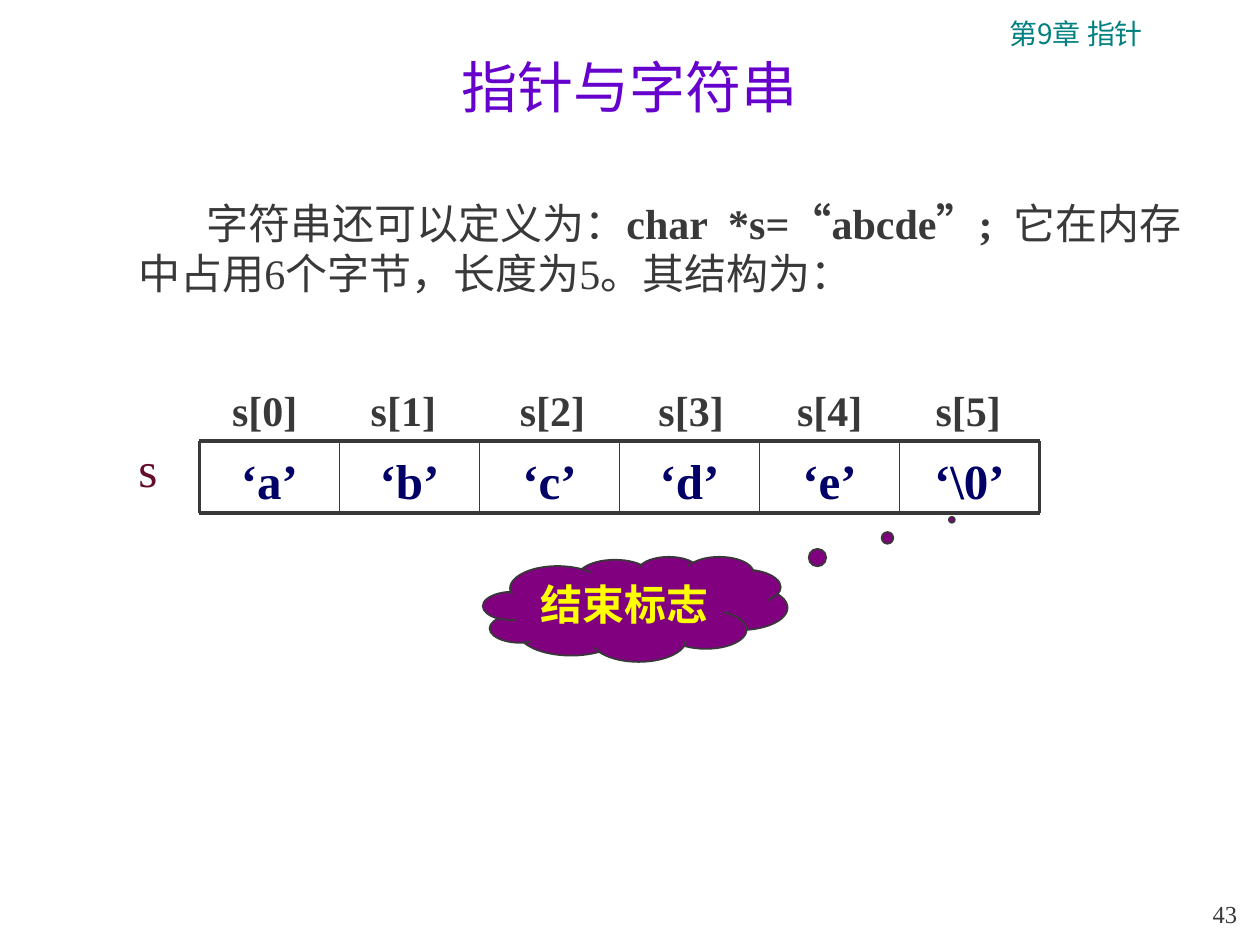
"""Build the slide on pointers and strings with its character array."""
from lxml.etree import SubElement
from pptx import Presentation
from pptx.dml.color import RGBColor
from pptx.enum.lang import MSO_LANGUAGE_ID
from pptx.enum.shapes import MSO_CONNECTOR, MSO_SHAPE
from pptx.enum.text import MSO_ANCHOR, PP_ALIGN
from pptx.oxml.ns import qn
from pptx.util import Inches, Pt

TEAL = RGBColor(0x00, 0x80, 0x80)
VIOLET = RGBColor(0x66, 0x00, 0xCC)
GRAY = RGBColor(0x39, 0x39, 0x39)
NAVY = RGBColor(0x00, 0x00, 0x66)
WINE = RGBColor(0x63, 0x0F, 0x2B)
PURPLE = RGBColor(0x80, 0x00, 0x80)
YELLOW = RGBColor(0xFF, 0xFF, 0x00)
SERIF = "Times New Roman"
SANS = "Noto Sans CJK JP"

presentation = Presentation()
presentation.slide_width, presentation.slide_height = Inches(10), Inches(7.5)
slide = presentation.slides.add_slide(presentation.slide_layouts[6])
UNIT = presentation.slide_width // 120


def grid(*units):
    return [round(unit * UNIT) for unit in units]


def add_run(paragraph, text, size, color, bold=False, name=SERIF):
    run = paragraph.add_run()
    run.text = text
    formats = {"size": Pt(size), "bold": bold, "name": name,
               "language_id": MSO_LANGUAGE_ID.SIMPLIFIED_CHINESE}
    for attribute, value in formats.items():
        setattr(run.font, attribute, value)
    run.font.color.rgb = color


cells = ["‘a’", "‘b’", "‘c’", "‘d’", "‘e’", "‘\\0’"]
array_left, array_top, array_width, array_height = 19, 42, 80, 6.84
array_right, array_bottom = array_left + array_width, array_top + array_height
cell_width = array_width / len(cells)
edges = [array_left + index * cell_width for index in range(len(cells) + 1)]
index_left = 17
index_text = "".join(f"\ts[{index}]" for index in range(len(cells)))

text_boxes = {
    "header": ((86, 1, 33, 4.4), PP_ALIGN.CENTER, MSO_ANCHOR.TOP,
               [("第9章 指针", 16, TEAL, False, SANS)]),
    "page": ((112, 85, 7, 4), PP_ALIGN.RIGHT, MSO_ANCHOR.BOTTOM, [("43", 14, GRAY)]),
    "title": ((9, 2, 102, 10), PP_ALIGN.CENTER, MSO_ANCHOR.BOTTOM,
              [("指针与字符串", 32, VIOLET)]),
    "body": ((6, 18.2, 109, 10.8), PP_ALIGN.LEFT, MSO_ANCHOR.TOP,
             [("字符串还可以定义为：", 24, GRAY),
              ("char  *s=“abcde”;  ", 24, GRAY, True),
              ("它在内存中占用6个字节，长度为5。其结构为：", 24, GRAY)]),
    "pointer": ((12, 41.2, 5, 6.8), PP_ALIGN.LEFT, MSO_ANCHOR.TOP, [("s", 28, WINE)]),
    "indexes": ((index_left, 36, 83, 6), PP_ALIGN.LEFT, MSO_ANCHOR.TOP,
                [(index_text, 24, GRAY, True)]),
}
for edge, text in zip(edges, cells):
    text_boxes[text] = ((edge, array_top + 0.3, cell_width, array_height),
                        PP_ALIGN.CENTER, MSO_ANCHOR.MIDDLE, [(text, 28, NAVY, True)])

paragraphs = {}
for role, (box, alignment, anchor, runs) in text_boxes.items():
    frame = slide.shapes.add_textbox(*grid(*box)).text_frame
    frame.word_wrap = True
    frame.vertical_anchor = anchor
    paragraphs[role] = frame.paragraphs[0]
    paragraphs[role].alignment = alignment
    for run_values in runs:
        add_run(paragraphs[role], *run_values)

body_properties = paragraphs["body"]._p.get_or_add_pPr()
for attribute, length in {"marL": 0.5, "indent": 0.54}.items():
    body_properties.set(attribute, str(Inches(length)))

tab_list = SubElement(paragraphs["indexes"]._p.get_or_add_pPr(), qn("a:tabLst"))
for column in range(len(cells)):
    center = 25.24 + 13.2 * column + (column >= 2) - index_left
    position = round(center * UNIT) - Inches(0.1)
    SubElement(tab_list, qn("a:tab"), pos=str(position), algn="ctr")

rules = [(array_left, y, array_right, y, 2.25) for y in (array_top, array_bottom)]
rules += [(edge, array_top, edge, array_bottom,
           2.25 if edge in (edges[0], edges[-1]) else 1) for edge in edges]
for *ends, width in rules:
    connector = slide.shapes.add_connector(MSO_CONNECTOR.STRAIGHT, *grid(*ends))
    connector.line.color.rgb = GRAY
    connector.line.width = Pt(width)
    SubElement(connector._element.spPr, qn("a:effectLst"))

cloud = slide.shapes.add_shape(MSO_SHAPE.CLOUD_CALLOUT, *grid(46, 53, 29, 10))
cloud.adjustments[0], cloud.adjustments[1] = 1.04, -0.85
cloud.shadow.inherit = False
cloud.fill.solid()
cloud.fill.fore_color.rgb = PURPLE
cloud.line.color.rgb = GRAY
cloud.line.width = Pt(1)
cloud.text_frame.word_wrap = True
cloud.text_frame.vertical_anchor = MSO_ANCHOR.TOP
paragraph = cloud.text_frame.paragraphs[0]
paragraph.alignment = PP_ALIGN.CENTER
add_run(paragraph, "结束标志", 24, YELLOW, True)

presentation.save("out.pptx")
